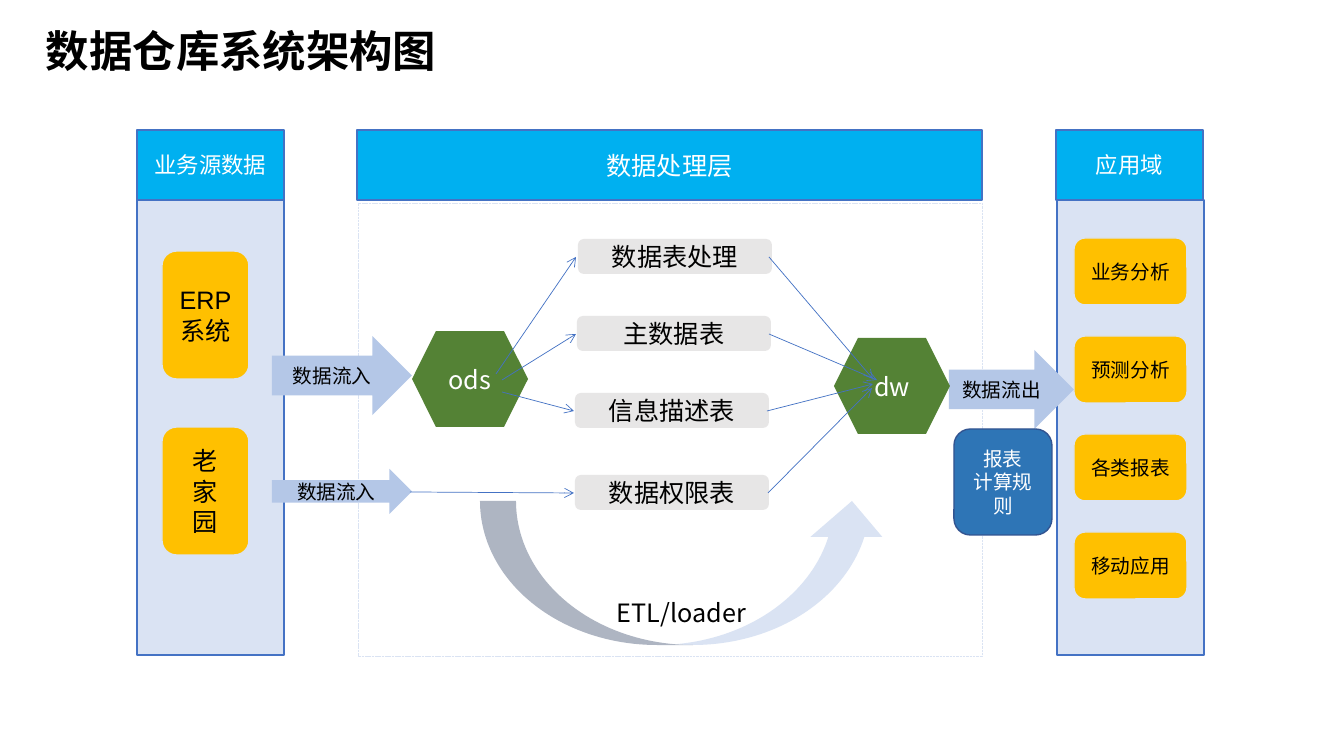
from pptx import Presentation
from pptx.dml.color import RGBColor
from pptx.enum.dml import MSO_LINE as Dash
from pptx.enum.shapes import MSO_CONNECTOR as Conn, MSO_SHAPE as Kind
from pptx.enum.text import MSO_ANCHOR as Anchor, PP_ALIGN as Align
from pptx.oxml.ns import qn
from pptx.util import Pt
from lxml.etree import SubElement

PX = 914400 / 100.8
CJK = "Noto Sans CJK SC"
BLACK = RGBColor(0x00, 0x00, 0x00)
WHITE = RGBColor(0xFF, 0xFF, 0xFF)
PALE = RGBColor(0xDA, 0xE3, 0xF3)
EDGE = RGBColor(0x44, 0x72, 0xC4)
SKY = RGBColor(0x00, 0xB0, 0xF0)
GOLD = RGBColor(0xFF, 0xC0, 0x00)
FLOW = RGBColor(0xB4, 0xC7, 0xE7)
GREEN = RGBColor(0x54, 0x82, 0x35)
GREY = RGBColor(0xE7, 0xE6, 0xE6)
BLUE = RGBColor(0x2E, 0x75, 0xB6)
NAVY = RGBColor(0x32, 0x54, 0x91)

deck = Presentation()
deck.slide_width, deck.slide_height = round(1344 * PX), round(756 * PX)
slide = deck.slides.add_slide(deck.slide_layouts[6])
shapes = slide.shapes


def write(shape, text, size, color=BLACK, face=CJK, align=Align.CENTER):
    frame = shape.text_frame
    frame.word_wrap = True
    frame.text = text
    for para in frame.paragraphs:
        para.alignment = align
        para.font.name = face
        para.font.size = Pt(size)
        para.font.color.rgb = color
        props = para._p.get_or_add_pPr().get_or_add_defRPr()
        SubElement(props, qn("a:ea")).set("typeface", CJK)
    return frame


def draw(kind, box, fill=None, edge=None, width=1):
    shape = shapes.add_shape(kind, *[round(n * PX) for n in box])
    shape.shadow.inherit = False
    if fill is None:
        shape.fill.background()
    else:
        shape.fill.solid()
        shape.fill.fore_color.rgb = fill
    if edge is None:
        shape.line.fill.background()
    else:
        shape.line.color.rgb = edge
        shape.line.width = Pt(width)
    return shape


# Title
title = shapes.add_textbox(*[round(n * PX) for n in (36, 16, 1159, 74)])
frame = write(title, "数据仓库系统架构图", 31, align=Align.LEFT)
frame.vertical_anchor = Anchor.MIDDLE
frame.paragraphs[0].font.bold = True
frame.paragraphs[0].line_spacing = 0.9

# Side panels and the three headers
for left in (137, 1057):
    draw(Kind.RECTANGLE, (left, 200, 147, 455), PALE, EDGE)
for left, wide, text, size in (
    (137, 147, "业务源数据", 16),
    (357, 625, "数据处理层", 18),
    (1056, 147, "应用域", 16),
):
    head = draw(Kind.RECTANGLE, (left, 130, wide, 70), SKY, EDGE)
    write(head, text, size, WHITE)

# Dashed frame of the processing layer
area = draw(Kind.RECTANGLE, (358, 203, 624, 453), None, PALE, 0.25)
area.line.dash_style = Dash.SQUARE_DOT

# Source systems
for top, text in ((251, "ERP系统"), (427, "老\n家\n园")):
    card = draw(Kind.ROUNDED_RECTANGLE, (162, top, 87, 128), GOLD, PALE)
    write(card, text, 18, face="Arial")

# Applications
for row, text in enumerate(("业务分析", "预测分析", "各类报表", "移动应用")):
    box = (1074, 238 + 98 * row, 113, 67)
    write(draw(Kind.ROUNDED_RECTANGLE, box, GOLD, PALE), text, 14)

# Flow arrows
for box, text in (
    ((272, 336, 140, 79), "数据流入"),
    ((272, 469, 140, 45), "数据流入"),
    ((949, 350, 125, 79), "数据流出"),
):
    write(draw(Kind.RIGHT_ARROW, box, FLOW), text, 14)

# Data stores
for left, top, text in ((412, 331, "ods"), (834, 338, "dw")):
    write(draw(Kind.HEXAGON, (left, top, 116, 96), GREEN), text, 18, WHITE)

# Load arc with its label
draw(Kind.CURVED_UP_ARROW, (480, 501, 408, 144), PALE)
label = shapes.add_textbox(*[round(n * PX) for n in (607, 592, 170, 40)])
write(label, "ETL/loader", 18, align=Align.LEFT)

# Processing steps
for left, top, text in (
    (578, 239, "数据表处理"),
    (577, 316, "主数据表"),
    (575, 393, "信息描述表"),
    (575, 475, "数据权限表"),
):
    step = draw(Kind.ROUNDED_RECTANGLE, (left, top, 194, 35), GREY)
    write(step, text, 18)

# Thin arrows into and out of the steps
for ends in (
    (496, 374, 576, 257),
    (502, 380, 576, 334),
    (502, 392, 574, 411),
    (410, 492, 574, 493),
    (769, 257, 873, 379),
    (769, 334, 877, 380),
    (767, 411, 873, 384),
    (768, 493, 872, 388),
):
    link = shapes.add_connector(Conn.STRAIGHT, *[round(n * PX) for n in ends])
    link.line.color.rgb = EDGE
    link.line.width = Pt(0.5)
    SubElement(link.line._get_or_add_ln(), qn("a:tailEnd")).set("type", "arrow")
    SubElement(link._element.spPr, qn("a:effectLst"))

# Report rules
rules = draw(Kind.ROUNDED_RECTANGLE, (954, 429, 98, 106), BLUE, NAVY)
write(rules, "报表\n计算规则", 14, WHITE)

deck.save("out.pptx")
